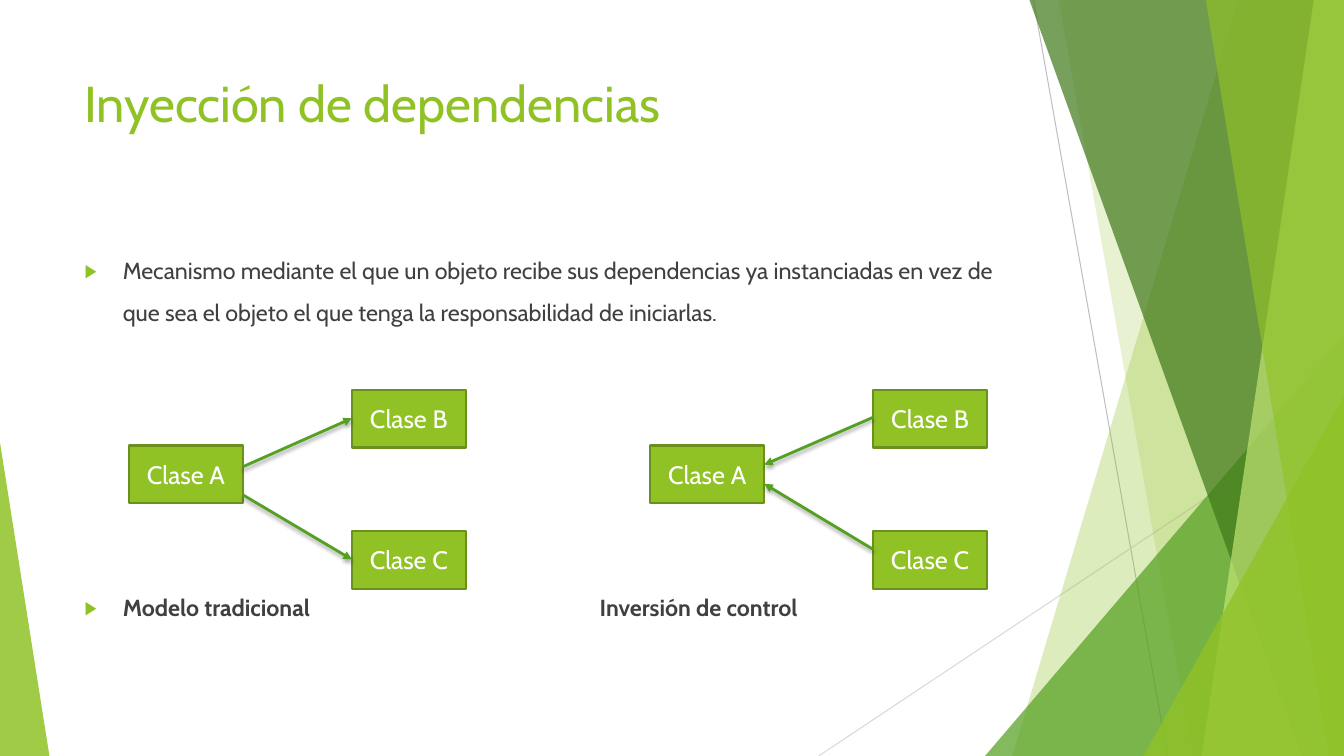
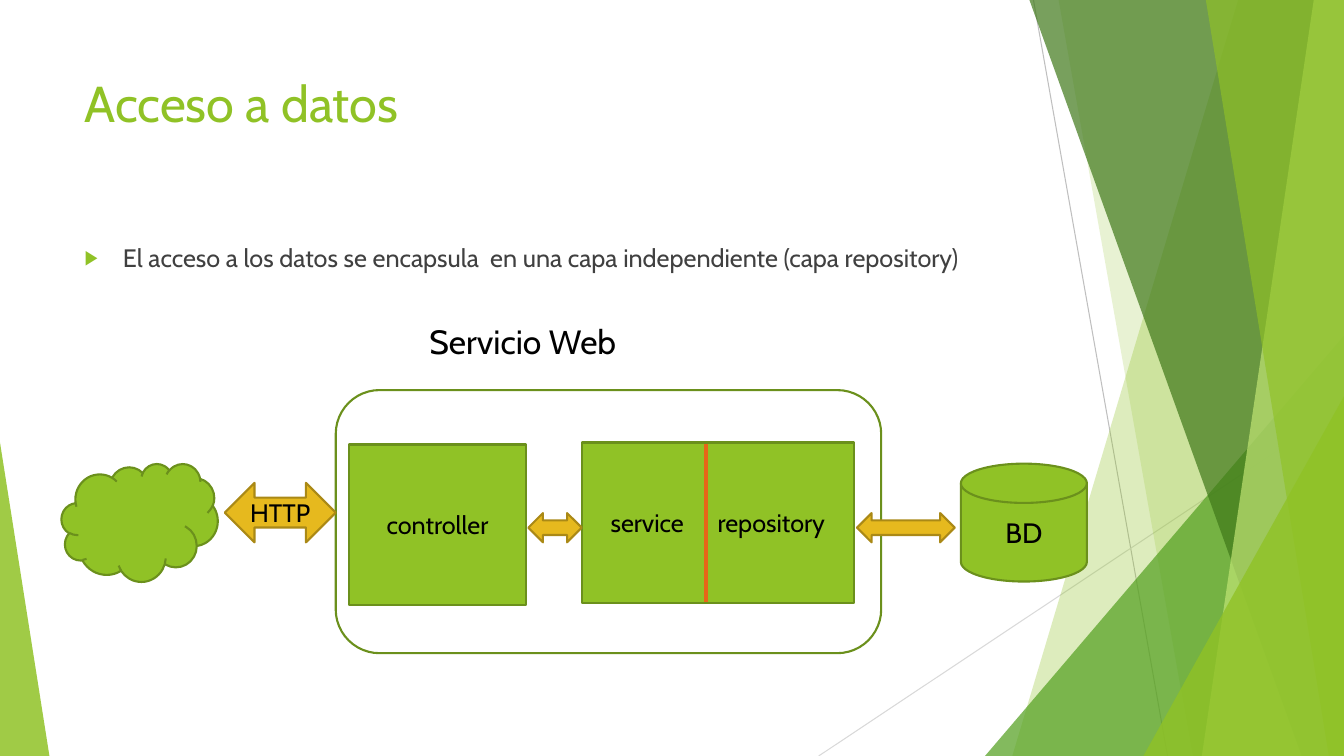
from dataclasses import dataclass

from lxml import etree
from pptx import Presentation
from pptx import util as u
from pptx.dml.color import RGBColor
from pptx.enum import shapes, text
from pptx.oxml.ns import qn


@dataclass(frozen=True)
class Theme:
    font: str = "Cabin"
    green: str = "90C226"
    edge: str = "6B901C"
    leaf: str = "54A021"
    forest: str = "3F7819"
    lime: str = "C0E474"
    gold: str = "E6B91E"
    gold_edge: str = "AA8916"
    orange: str = "E76618"
    grey: str = "BFBFBF"
    pale: str = "D9D9D9"
    ink: str = "404040"
    black: str = "000000"
    white: str = "FFFFFF"
    title: float = 36
    heading: float = 24
    store: float = 20
    label: float = 18
    small: float = 16.6


T = Theme()
W, H = 13.33, 7.5
LEFT, BODY_TOP, BODY_W = 0.74, 2.36, 9.4
KIND = shapes.MSO_SHAPE

# Shared backdrop: thin lines (from, to, colour)
RAYS = [((10.25, 0), (11.58, H), T.grey), ((W, 4.03), (8.12, H), T.pale)]
# Back to front: bands give (top x, bottom x), peaks give (left, top, width, apex)
BACKDROP = [
    ("band", (12.28, 10.04), T.green, 30),
    ("band", (10.5, 11.83), T.green, 20),
    ("peak", (9.77, 3.33, 3.56, 1), T.leaf, 72),
    ("band", (10.21, 12.91), T.forest, 70),
    ("band", (13.03, 11.92), T.lime, 70),
    ("band", (11.96, 13.18), T.green, 65),
    ("peak", (11.34, 3.93, 1.99, 1), T.green, 80),
    ("peak", (0, 4.39, 0.49, 0), T.green, 85),
]

# Slide 1 content
INJECTION = {
    "title": "Inyección de dependencias",
    "body": "Mecanismo mediante el que un objeto recibe sus dependencias ya "
            "instanciadas en vez de que sea el objeto el que tenga la "
            "responsabilidad de iniciarlas.",
}
# Class boxes: name, offset from the diagram's corner
CLASSES = [("Clase A", 0, 0.55), ("Clase B", 2.21, 0), ("Clase C", 2.21, 1.4)]
CLASS_W, CLASS_H, DIAGRAM_TOP, CAPTION_TOP = 1.13, 0.57, 3.87, 5.84
# Models: caption, caption left, bulleted, diagram left, arrowhead end,
# heights of each arrow at class A and at the other class
MODELS = [
    ("Modelo tradicional", LEFT, True, 1.28, "tailEnd", [(4.63, 4.15), (4.91, 5.55)]),
    ("Inversión de control", 5.85, False, 6.45, "headEnd", [(4.61, 4.14), (4.8, 5.45)]),
]

# Slide 2 content
ACCESS = {
    "title": "Acceso a datos",
    "body": "El acceso a los datos se encapsula  en una capa independiente (capa repository)",
}
GREEN, GOLD, FRAME = (T.green, T.edge), (T.gold, T.gold_edge), (T.white, T.edge)
# Parts: kind, box, (fill, line), label, size
PARTS = [
    (KIND.CLOUD, (0.61, 4.6, 1.55, 1.17), GREEN, "", T.label),
    (KIND.ROUNDED_RECTANGLE, (3.33, 3.87, 5.41, 2.61), FRAME, "", T.label),
    (KIND.RECTANGLE, (3.46, 4.41, 1.76, 1.59), GREEN, "controller", T.label),
    (KIND.RECTANGLE, (5.77, 4.39, 2.7, 1.59), GREEN, "", T.label),
    (KIND.FLOWCHART_MAGNETIC_DISK, (9.53, 4.6, 1.25, 1.17), GREEN, "BD", T.store),
    (KIND.LEFT_RIGHT_ARROW, (2.23, 4.79, 1.1, 0.59), GOLD, "HTTP", T.label),
    (KIND.LEFT_RIGHT_ARROW, (8.5, 5.09, 0.97, 0.29), GOLD, "", T.label),
    (KIND.LEFT_RIGHT_ARROW, (5.24, 5.09, 0.53, 0.29), GOLD, "", T.label),
]
LAYERS = [("service", 5.77), ("repository", 7)]
LAYER_W = 1.3


def inches(*values):
    return [u.Inches(v) for v in values]


def rgb(value):
    return RGBColor.from_string(value)


def sub(parent, tag, **attrs):
    return etree.SubElement(parent, qn(tag), {k: str(v) for k, v in attrs.items()})


def paint(sp, fill, edge=None, alpha=None):
    sp.shadow.inherit = False
    sp.fill.solid()
    sp.fill.fore_color.rgb = rgb(fill)
    if alpha:
        color = sp._element.spPr.find(qn("a:solidFill"))[0]
        sub(color, "a:alpha", val=alpha * 1000)
    if edge:
        sp.line.color.rgb = rgb(edge)
        sp.line.width = u.Pt(1.5)
    else:
        sp.line.fill.background()


def write(sp, words, size, color, bold=False, center=False):
    tf = sp.text_frame
    tf.word_wrap = True
    tf.vertical_anchor = text.MSO_ANCHOR.MIDDLE if center else text.MSO_ANCHOR.TOP
    p = tf.paragraphs[0]
    p.text = words
    p.alignment = text.PP_ALIGN.CENTER if center else text.PP_ALIGN.LEFT
    for r in p.runs:
        r.font.name, r.font.size, r.font.bold = T.font, u.Pt(size), bold
        r.font.color.rgb = rgb(color)
    return p


def add_text(s, box, words, size, color, **style):
    return write(s.shapes.add_textbox(*inches(*box)), words, size, color, **style)


def add_part(s, kind, box, colors, words, size, color):
    sp = s.shapes.add_shape(kind, *inches(*box))
    paint(sp, *colors)
    if words:
        write(sp, words, size, color, center=True)


def add_bullet(p):
    pPr = p._p.get_or_add_pPr()
    pPr.set("marL", str(u.Inches(0.38)))
    pPr.set("indent", str(u.Inches(-0.38)))
    sub(sub(pPr, "a:buClr"), "a:srgbClr", val=T.green)
    sub(pPr, "a:buSzPct", val=80000)
    sub(pPr, "a:buFont", typeface="Arial")
    sub(pPr, "a:buChar", char="▶")


def add_line(s, start, end, color, width, arrow=None):
    """Straight line; with an arrowhead it also casts a soft shadow."""
    cx = s.shapes.add_connector(shapes.MSO_CONNECTOR.STRAIGHT, *inches(*start, *end))
    cx.line.color.rgb = rgb(color)
    cx.line.width = u.Pt(width)
    spPr = cx._element.spPr
    effects = sub(spPr, "a:effectLst")
    if arrow:
        sub(spPr.find(qn("a:ln")), "a:" + arrow, type="triangle")
        shadow = sub(effects, "a:outerShdw", blurRad=u.Pt(3), dist=u.Pt(2),
                     dir=90 * 60000, rotWithShape=0)
        sub(sub(shadow, "a:srgbClr", val=T.black), "a:alpha", val=35000)


def add_backdrop(s):
    for start, end, color in RAYS:
        add_line(s, start, end, color, 0.75)
    for form, place, color, alpha in BACKDROP:
        if form == "band":
            top, bottom = place
            fb = s.shapes.build_freeform(*inches(top, 0), scale=1.0)
            fb.add_line_segments([inches(*pt) for pt in ((W, 0), (W, H), (bottom, H))])
            sp = fb.convert_to_shape()
        else:
            x, y, width, apex = place
            sp = s.shapes.add_shape(KIND.ISOSCELES_TRIANGLE, *inches(x, y, width, H - y))
            sp.adjustments[0] = apex
        paint(sp, color, alpha=alpha)


def start_slide(prs, content, size, spacing, width):
    s = prs.slides.add_slide(prs.slide_layouts[6])
    add_backdrop(s)
    add_text(s, (LEFT, 0.67, BODY_W, 1.44), content["title"], T.title, T.green)
    p = add_text(s, (LEFT, BODY_TOP, width, 1.1), content["body"], size, T.ink)
    p.line_spacing = spacing
    add_bullet(p)
    return s


def build_injection(prs):
    s = start_slide(prs, INJECTION, T.small, 1.5, BODY_W)
    for caption, caption_x, bulleted, x, arrow, heights in MODELS:
        p = add_text(s, (caption_x, CAPTION_TOP, 4, 0.4), caption, T.small, T.ink, bold=True)
        if bulleted:
            add_bullet(p)
        for name, dx, dy in CLASSES:
            box = (x + dx, DIAGRAM_TOP + dy, CLASS_W, CLASS_H)
            add_part(s, KIND.RECTANGLE, box, GREEN, name, T.label, T.white)
        for near, far in heights:
            add_line(s, (x + CLASS_W, near), (x + CLASSES[1][1], far), T.leaf, 2, arrow)


def build_access(prs):
    s = start_slide(prs, ACCESS, T.label, 1.0, 9.91)
    for part in PARTS:
        add_part(s, *part, T.black)
    add_text(s, (4.16, 3.13, 2.99, 0.5), "Servicio Web", T.heading, T.black)
    for name, x in LAYERS:
        add_text(s, (x, 4.39, LAYER_W, 1.59), name, T.label, T.black, center=True)
    add_line(s, (7, 4.4), (7, 5.97), T.orange, 3)


def main():
    prs = Presentation()
    prs.slide_width, prs.slide_height = inches(W, H)
    build_injection(prs)
    build_access(prs)
    prs.save("out.pptx")


if __name__ == "__main__":
    main()
